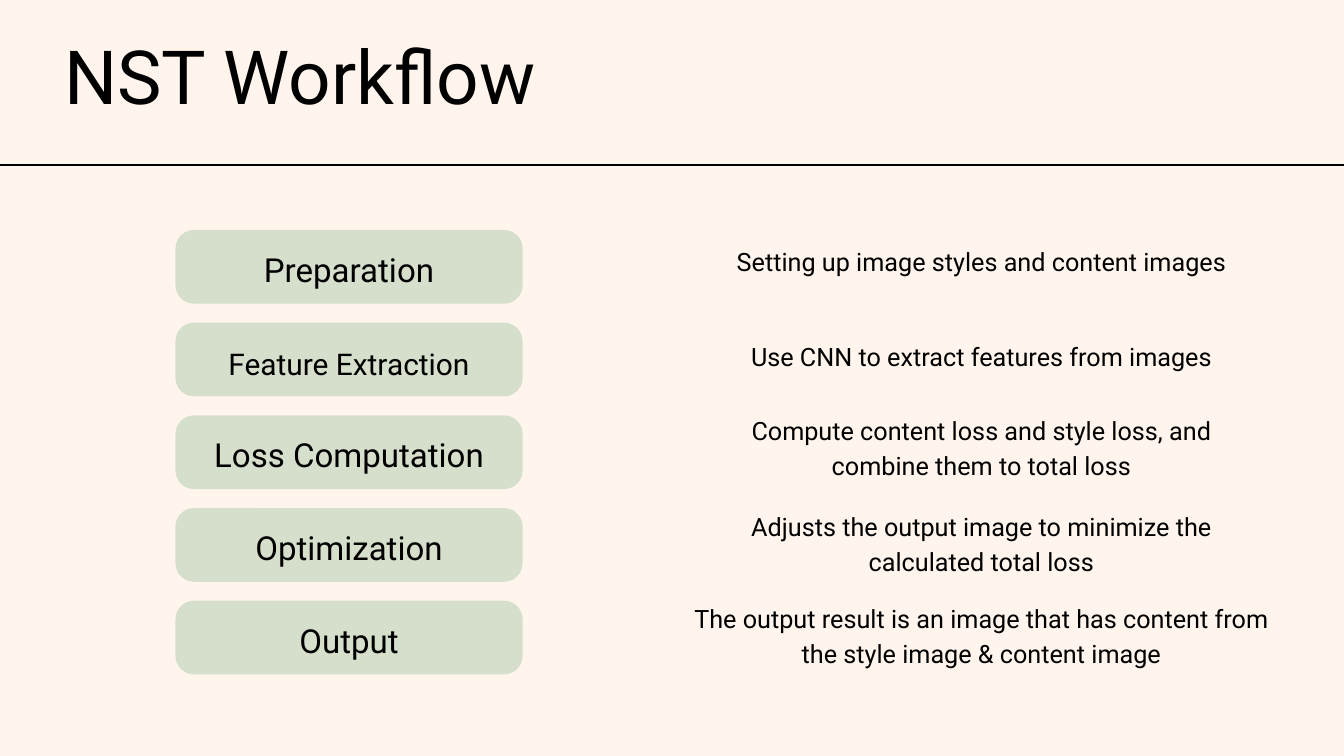
"""Build the NST Workflow slide: five stages, each with a short description."""
from dataclasses import dataclass

from lxml import etree
from pptx import Presentation
from pptx.dml.color import RGBColor
from pptx.enum import shapes, text
from pptx.oxml import ns
from pptx.util import Pt


@dataclass(frozen=True)
class Theme:
    font: str = "Roboto"
    background: RGBColor = RGBColor(0xFF, 0xF5, 0xED)
    stage: RGBColor = RGBColor(0xD6, 0xDF, 0xCC)
    ink: RGBColor = RGBColor(0, 0, 0)
    title: float = 80
    label: float = 35.4
    small_label: float = 32
    body: float = 27


THEME = Theme()
WIDTH, HEIGHT = 1440, 810
STAGE_LEFT, STAGE_TOP, STAGE_WIDTH, STAGE_HEIGHT = 188, 246.4, 372, 79
STAGE_PITCH = 99.3
DESCRIPTION_CENTER = 1051.4

STAGES = [
    ("Preparation", THEME.label,
     "Setting up image styles and content images", 258.5, 580),
    ("Feature Extraction", THEME.small_label,
     "Use CNN to extract features from images", 360, 566),
    ("Loss Computation", THEME.label,
     "Compute content loss and style loss, and combine them to total loss",
     439.2, 560),
    ("Optimization", THEME.label,
     "Adjusts the output image to minimize the calculated total loss",
     542.2, 560),
    ("Output", THEME.label,
     "The output result is an image that has content from the style image "
     "& content image", 640.8, 620),
]


def write(sp, words, size, line, align, anchor=text.MSO_ANCHOR.TOP):
    """Fill a shape with one paragraph of themed text and no margins."""
    tf = sp.text_frame
    tf.text = words
    tf.word_wrap = True
    tf.auto_size = text.MSO_AUTO_SIZE.NONE
    tf.vertical_anchor = anchor
    tf.margin_left = tf.margin_right = tf.margin_top = tf.margin_bottom = 0
    p = tf.paragraphs[0]
    p.alignment = align
    p.line_spacing = Pt(line)
    p.space_before = Pt(0)
    font = p.runs[0].font
    font.name, font.size = THEME.font, Pt(size)
    font.color.rgb = THEME.ink


def set_title(s, words):
    """Place and format the title placeholder."""
    sp = s.shapes.title
    sp.left, sp.top, sp.width, sp.height = Pt(69), Pt(32.4), Pt(697), Pt(113)
    write(sp, words, THEME.title, 95.9, text.PP_ALIGN.LEFT)


def add_rule(s, y):
    """Draw a full-width horizontal line."""
    c = s.shapes.add_connector(
        shapes.MSO_CONNECTOR.STRAIGHT, 0, Pt(y), Pt(WIDTH), Pt(y))
    c.line.color.rgb = THEME.ink
    c.line.width = Pt(1.5)
    etree.SubElement(c._element.spPr, ns.qn("a:effectLst"))


def add_stage(s, words, size, top):
    """Add a rounded box holding a stage name."""
    sp = s.shapes.add_shape(
        shapes.MSO_SHAPE.ROUNDED_RECTANGLE,
        Pt(STAGE_LEFT), Pt(top), Pt(STAGE_WIDTH), Pt(STAGE_HEIGHT))
    sp.adjustments[0] = 0.25
    sp.shadow.inherit = False
    sp.fill.solid()
    sp.fill.fore_color.rgb = THEME.stage
    sp.line.fill.background()
    write(sp, words, size, 49.5, text.PP_ALIGN.CENTER, text.MSO_ANCHOR.MIDDLE)
    sp.text_frame.margin_bottom = Pt(2)


def add_description(s, words, top, width):
    """Add centred text describing a stage."""
    sp = s.shapes.add_textbox(
        Pt(DESCRIPTION_CENTER - width / 2), Pt(top), Pt(width), Pt(STAGE_HEIGHT))
    write(sp, words, THEME.body, 37.8, text.PP_ALIGN.CENTER)


def main():
    """Build and save the slide."""
    prs = Presentation()
    prs.slide_width, prs.slide_height = Pt(WIDTH), Pt(HEIGHT)
    s = prs.slides.add_slide(prs.slide_layouts[5])
    s.background.fill.solid()
    s.background.fill.fore_color.rgb = THEME.background
    set_title(s, "NST Workflow")
    add_rule(s, 177)
    for i, (name, size, description, top, width) in enumerate(STAGES):
        add_stage(s, name, size, STAGE_TOP + i * STAGE_PITCH)
        add_description(s, description, top, width)
    prs.save("out.pptx")


if __name__ == "__main__":
    main()
